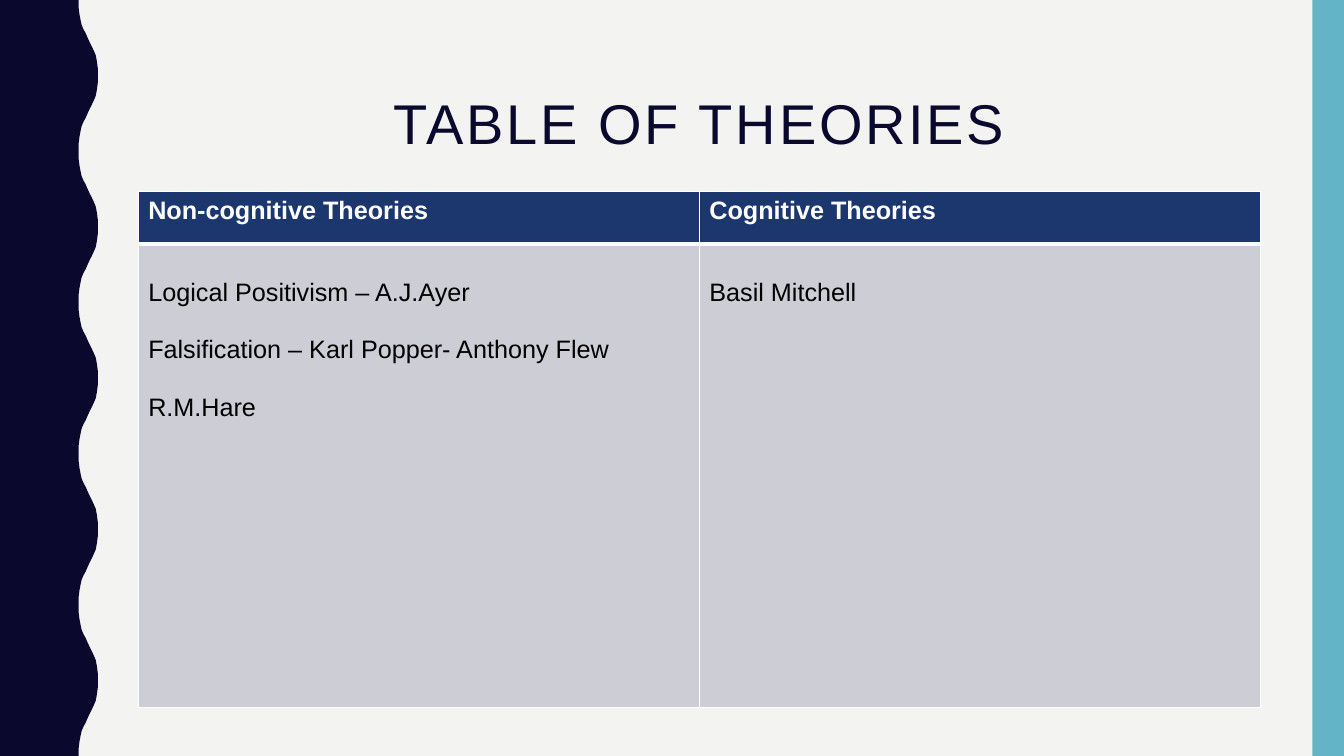
from dataclasses import dataclass

from lxml import etree
from pptx import Presentation, util as u
from pptx.dml.color import RGBColor
from pptx.enum import shapes, text
from pptx.oxml.ns import qn


@dataclass(frozen=True)
class Theme:
    paper: str = "F3F3F2"
    navy: str = "0B082E"
    teal: str = "62B4C6"
    header: str = "1B376E"
    body: str = "CDCED5"
    white: str = "FFFFFF"
    black: str = "000000"
    face: str = "Arial"
    title_size: int = 40
    text_size: int = 18


COLUMNS, ROWS = 32, 18
# Shares of wave depth and of half a wave's length, from trough to crest
WAVE_RISE = [(0, 0), (0, .09), (.05, .19), (.11, .27), (.16, .33), (.26, .39),
             (.37, .44), (.47, .5), (.58, .56), (.68, .61), (.79, .67),
             (.89, .73), (.95, .81), (1, .91), (1, 1)]
THEORIES = {
    "Non-cognitive Theories": [
        "Logical Positivism – A.J.Ayer",
        "Falsification – Karl Popper- Anthony Flew",
        "R.M.Hare",
    ],
    "Cognitive Theories": ["Basil Mitchell"],
}


def apply(target, formats):
    for name, value in formats.items():
        setattr(target, name, value)


def paint(fill, colour):
    fill.solid()
    fill.fore_color.rgb = RGBColor.from_string(colour)


class SlideBuilder:
    def __init__(self, deck, theme):
        self.theme = theme
        self.column = deck.slide_width / COLUMNS
        self.row = deck.slide_height / ROWS
        self.slide = deck.slides.add_slide(deck.slide_layouts[5])
        paint(self.slide.background.fill, theme.paper)

    def box(self, left, top, width, height):
        """Turn grid columns and rows into a left, top, width, height list."""
        return [round(left * self.column), round(top * self.row),
                round(width * self.column), round(height * self.row)]

    def finish(self, shape, colour):
        paint(shape.fill, colour)
        shape.line.fill.background()
        shape.shadow.inherit = False

    def style(self, paragraph, size, colour, bold=False):
        apply(paragraph.font, {"name": self.theme.face, "size": u.Pt(size), "bold": bold})
        paragraph.font.color.rgb = RGBColor.from_string(colour)

    def band(self, area, colour):
        stripe = self.slide.shapes.add_shape(shapes.MSO_SHAPE.RECTANGLE, *self.box(*area))
        self.finish(stripe, colour)

    def wavy_edge(self, trough, crest, waves, colour):
        half = ROWS / waves / 2
        outline = []
        for wave in range(waves):
            start = 2 * wave * half
            rise = [(x, start + y * half) for x, y in WAVE_RISE]
            fall = [(x, start + (2 - y) * half) for x, y in WAVE_RISE[::-1]]
            outline += rise + fall[1:]
        points = [((trough + x * (crest - trough)) * self.column, y * self.row)
                  for x, y in outline]
        builder = self.slide.shapes.build_freeform(0, 0)
        builder.add_line_segments(points + [(0, ROWS * self.row)], close=True)
        self.finish(builder.convert_to_shape(), colour)

    def title(self, wording, area):
        heading = self.slide.shapes.title
        apply(heading, dict(zip(("left", "top", "width", "height"), self.box(*area))))
        frame = heading.text_frame
        frame.text = wording
        apply(frame, {"word_wrap": True, "vertical_anchor": text.MSO_ANCHOR.TOP,
                      "auto_size": text.MSO_AUTO_SIZE.NONE})
        line = frame.paragraphs[0]
        apply(line, {"alignment": text.PP_ALIGN.CENTER, "line_spacing": .9})
        self.style(line, self.theme.title_size, self.theme.navy)
        line.runs[0].font.size = u.Pt(self.theme.title_size)
        line.runs[0].font._element.set("spc", "200")

    def borders(self, cell, widths):
        """Draw white cell edges; widths are points keyed by L, R, T and B."""
        properties = cell._tc.get_or_add_tcPr()
        for place, (side, width) in enumerate(widths.items()):
            edge = etree.Element(qn(f"a:ln{side}"), w=str(u.Pt(width)))
            solid = etree.SubElement(edge, qn("a:solidFill"))
            etree.SubElement(solid, qn("a:srgbClr"), val=self.theme.white)
            properties.insert(place, edge)

    def cell(self, cell, lines, fill, colour, bold, widths):
        paint(cell.fill, fill)
        self.borders(cell, widths)
        cell.text = "\n".join(lines)
        for place, paragraph in enumerate(cell.text_frame.paragraphs):
            if place:
                paragraph.space_before = u.Pt(21)
            self.style(paragraph, self.theme.text_size, colour, bold)

    def table(self, content, area, header_rows):
        theme = self.theme
        grid = self.slide.shapes.add_table(2, len(content), *self.box(*area)).table
        grid.horz_banding = False
        grid.rows[0].height = round(header_rows * self.row)
        grid.rows[1].height = round((area[3] - header_rows) * self.row)
        for place, (family, members) in enumerate(content.items()):
            self.cell(grid.cell(0, place), [family], theme.header, theme.white, True,
                      {"L": 1, "R": 1, "T": 1, "B": 3})
            body = grid.cell(1, place)
            self.cell(body, members, theme.body, theme.black, False,
                      {"L": 1, "R": 1, "T": 3, "B": 1})
            body.margin_top = u.Inches(.34)


def main():
    deck = Presentation()
    apply(deck, {"slide_width": u.Inches(13.33), "slide_height": u.Inches(7.5)})
    theme = Theme()
    page = SlideBuilder(deck, theme)
    page.wavy_edge(1.87, 2.33, 5, theme.navy)
    page.band((31.25, 0, .75, ROWS), theme.teal)
    page.title("TABLE OF THEORIES", (3.29, 2.18, 26.72, 2.74))
    page.table(THEORIES, (3.29, 4.56, 26.72, 12.29), 1.25)
    deck.save("out.pptx")


if __name__ == "__main__":
    main()
